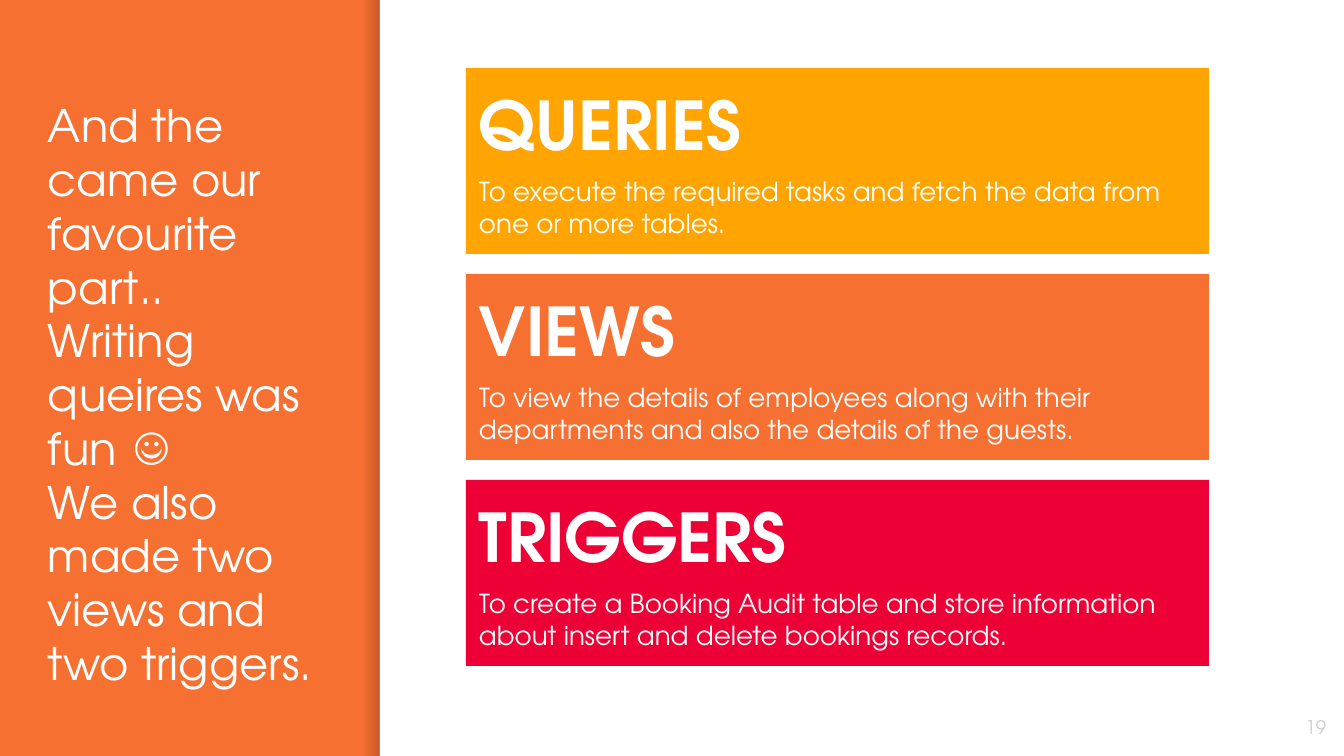
from lxml.etree import SubElement
from pptx import Presentation
from pptx.dml.color import RGBColor
from pptx.enum.shapes import MSO_SHAPE as Shape
from pptx.enum.text import MSO_ANCHOR as Anchor, PP_ALIGN as Align
from pptx.oxml.ns import qn
from pptx.util import Emu, Pt

SCALE = 914400 / 134.4  # EMU in one px
WIDE, HIGH = 1344, 756
INSET = 13
FONT = "TeX Gyre Adventor"

WHITE = RGBColor(0xFF, 0xFF, 0xFF)
GREY = RGBColor(0xCC, 0xCC, 0xCC)
NAVY = RGBColor(0x00, 0x00, 0x14)
AMBER = RGBColor(0xFF, 0xA4, 0x00)
ORANGE = RGBColor(0xF6, 0x70, 0x31)
RED = RGBColor(0xED, 0x00, 0x36)

STORY = ("And the came our favourite part..\v"
         "Writing queires was fun ☺\v"
         "We also made two views and two triggers.")
CARDS = [
    ("QUERIES", "To execute the required tasks and fetch the data "
     "from one or more tables.", AMBER),
    ("VIEWS", "To view the details of employees along with their "
     "departments and also the details of the guests.", ORANGE),
    ("TRIGGERS", "To create a Booking Audit table and store information "
     "about insert and delete bookings records.", RED),
]


def px(n):
    return Emu(round(n * SCALE))


def add_rect(slide, box, color=None):
    rect = slide.shapes.add_shape(Shape.RECTANGLE, *map(px, box))
    rect.shadow.inherit = False
    rect.line.fill.background()
    if color is not None:
        rect.fill.solid()
        rect.fill.fore_color.rgb = color
    return rect


def set_frame(shape, anchor):
    frame = shape.text_frame
    frame.word_wrap = True
    frame.vertical_anchor = anchor
    frame.margin_left = frame.margin_right = px(INSET)
    frame.margin_top = frame.margin_bottom = px(INSET)
    return frame


def set_text(para, text, size, color=WHITE, bold=False, align=Align.LEFT):
    para.text = text
    para.alignment = align
    font = para.font
    font.name, font.size, font.bold = FONT, Pt(size), bold
    font.color.rgb = color


def add_label(slide, box, text, size, color, anchor, align):
    label = slide.shapes.add_textbox(*map(px, box))
    frame = set_frame(label, anchor)
    set_text(frame.paragraphs[0], text, size, color, align=align)


def add_panel(slide, box):
    """White panel with a soft shade along its left edge."""
    left, top, wide, high = box
    depth = 17
    shade = add_rect(slide, (left - depth, top, depth, high))
    shade.fill.gradient()
    shade.fill.gradient_angle = 0
    for stop, place, alpha in zip(shade.fill.gradient_stops, (0, 1), (0, 20)):
        stop.position = place
        stop.color.rgb = NAVY
        tint = list(shade.element.iter(qn("a:srgbClr")))[place]
        SubElement(tint, qn("a:alpha")).set("val", str(alpha * 1000))
    add_rect(slide, box, WHITE)


def add_card(slide, box, head, body, color):
    frame = set_frame(add_rect(slide, box, color), Anchor.MIDDLE)
    set_text(frame.paragraphs[0], head, 36, bold=True)
    para = frame.add_paragraph()
    set_text(para, body, 14)
    para.space_before = Pt(6)


def add_stack(slide, box, gap):
    """Cards of equal height, one under the other."""
    left, top, wide, high = box
    tall = (high - gap * (len(CARDS) - 1)) // len(CARDS)
    for i, card in enumerate(CARDS):
        add_card(slide, (left, top + i * (tall + gap), wide, tall), *card)


def main():
    deck = Presentation()
    deck.slide_width, deck.slide_height = px(WIDE), px(HIGH)
    slide = deck.slides.add_slide(deck.slide_layouts[6])
    back = slide.background.fill
    back.solid()
    back.fore_color.rgb = ORANGE

    add_panel(slide, (380, 0, WIDE - 380, HIGH))
    # Story at the left, page number at the bottom right
    add_label(slide, (35, 85, 301, 614), STORY, 24, WHITE,
              Anchor.TOP, Align.LEFT)
    add_label(slide, (1258, 698, 81, 58), "19", 10, GREY,
              Anchor.MIDDLE, Align.RIGHT)
    add_stack(slide, (466, 68, 743, 598), 20)
    deck.save("out.pptx")


if __name__ == "__main__":
    main()
